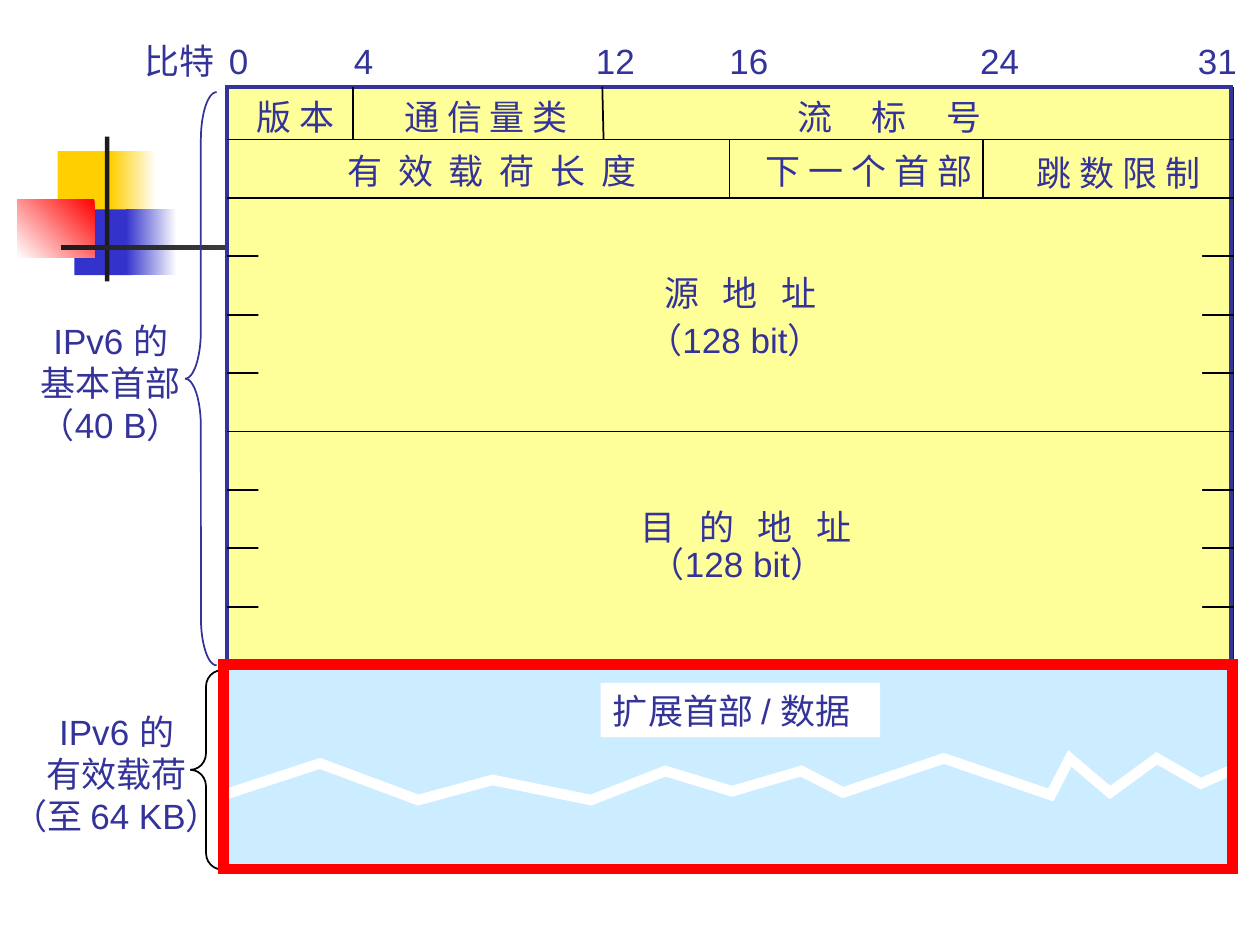
from dataclasses import dataclass
from lxml import etree
from pptx import Presentation
from pptx.dml.color import RGBColor
from pptx.enum.shapes import MSO_CONNECTOR, MSO_SHAPE
from pptx.enum.text import MSO_ANCHOR, MSO_AUTO_SIZE, PP_ALIGN
from pptx.oxml.ns import qn
from pptx.util import Pt

RECT, BRACE = MSO_SHAPE.RECTANGLE, MSO_SHAPE.LEFT_BRACE
LINE = MSO_CONNECTOR.STRAIGHT
LEFT, MID = PP_ALIGN.LEFT, PP_ALIGN.CENTER
TOP, GROW = MSO_ANCHOR.TOP, MSO_AUTO_SIZE.SHAPE_TO_FIT_TEXT


@dataclass(frozen=True)
class Theme:
    font: str = "Arial"
    size: float = 20
    ink: str = "333399"
    black: str = "000000"
    white: str = "FFFFFF"
    dark: str = "1C1C1C"
    gold: str = "FFCF01"
    blue: str = "3333CC"
    red: str = "FF0000"
    head: str = "FFFF99"
    load: str = "CCECFF"


T = Theme()
SPACE = 4.5  # width of one blank between Chinese characters
ROW, STEP, ROWS = 79.7, 33.37, 10
X0, X1 = 130, 705

BITS = {"0": 123.8, "4": 195.1, "12": 333.4, "16": 409.7, "24": 553, "31": 677.5}

# text, gap in blanks, left, top, width
FIELDS = [
    ("比特", 1, 75.2, 19, 60),
    ("版 本", 1, 139.7, 51.1, 66),
    ("通 信 量 类", 1, 223.9, 51.1, 116),
    ("流 标 号", 5, 448.6, 51.1, 136),
    ("有 效 载 荷 长 度", 2, 191.5, 82.1, 190),
    ("下 一 个 首 部", 1, 430.6, 82.1, 140),
    ("跳 数 限 制", 1, 585.4, 83.2, 116),
    ("源 地 址", 3, 372.5, 151.6, 114),
    ("（128 bit）", 1, 362.9, 178.6, 138),
    ("目 的 地 址", 3, 358.9, 285.1, 148),
    ("（128 bit）", 1, 364.3, 306.7, 138),
]

# x at the top, x at the foot, first row line, last row line
SPLITS = [(201.6, 201.6, 49.7, ROW), (344.2, 344.9, 49.7, ROW),
          (416.9, 416.9, ROW, ROW + STEP), (561.6, 561.6, ROW, ROW + STEP)]

WAVE = [(123.1, 455.8), (182.9, 436.3), (239, 457.2), (281.5, 445.7),
        (337.7, 457.2), (380.2, 440.6), (418.3, 452.2), (457.9, 440.6),
        (481.7, 452.9), (539.3, 433.4), (600.5, 454.3), (611.3, 433.4),
        (634.3, 452.9), (661, 433.4), (686.2, 447.8), (720, 432.7)]


def rgb(tone):
    return RGBColor.from_string(tone)


def paint(shape, fill=None, line=None, width=1):
    shape.shadow.inherit = False
    if fill:
        shape.fill.solid()
        shape.fill.fore_color.rgb = rgb(fill)
    else:
        shape.fill.background()
    if line:
        shape.line.color.rgb = rgb(line)
        shape.line.width = Pt(width)
        etree.SubElement(shape._element.spPr.find(qn("a:ln")),
                         qn("a:miter"), lim="800000")
    else:
        shape.line.fill.background()


def box(slide, area, fill=None, line=None, width=1):
    shape = slide.shapes.add_shape(RECT, *map(Pt, area))
    paint(shape, fill, line, width)
    return shape


def fade(slide, area, start, end, angle=180):
    shape = box(slide, area)
    shape.fill.gradient()
    shape.fill.gradient_angle = angle
    for stop, tone in zip(shape.fill.gradient_stops, (start, end)):
        stop.color.rgb = rgb(tone)


def cast(shape, tone):
    """Give the shape a hard shadow to the lower right."""
    effects = shape._element.spPr.find(qn("a:effectLst"))
    outer = etree.SubElement(effects, qn("a:outerShdw"),
                             dist=str(Pt(1.4)), dir="2700000")
    etree.SubElement(outer, qn("a:srgbClr"), val=tone)


def rule(slide, x1, y1, x2, y2):
    line = slide.shapes.add_connector(LINE, *map(Pt, (x1, y1, x2, y2)))
    line.line.color.rgb = rgb(T.black)
    line.line.width = Pt(1)
    etree.SubElement(line._element.spPr, qn("a:effectLst"))


def write(shape, lines, align=LEFT, gap=1, wrap=False):
    """Set the lines; gap is how many blanks wide each space should look."""
    frame = shape.text_frame
    style = {"word_wrap": wrap, "auto_size": GROW, "vertical_anchor": TOP}
    for name, value in style.items():
        setattr(frame, name, value)
    for i, text in enumerate(lines):
        para = frame.paragraphs[0] if i == 0 else frame.add_paragraph()
        para.alignment = align
        run = para.add_run()
        run.text = text
        for name, value in {"name": T.font, "size": Pt(T.size)}.items():
            setattr(run.font, name, value)
        run.font.color.rgb = rgb(T.ink)
        if gap > 1:
            run._r.get_or_add_rPr().set("spc", str(int(SPACE * (gap - 1) * 50)))


def label(slide, lines, area, **style):
    write(slide.shapes.add_textbox(*map(Pt, area)), lines, **style)


def brace(slide, area, curve, tone):
    shape = slide.shapes.add_shape(BRACE, *map(Pt, area))
    shape.adjustments[0] = curve
    paint(shape, line=tone)


def wave(slide):
    first, *rest = [(Pt(x), Pt(y)) for x, y in WAVE]
    path = slide.shapes.build_freeform(*first)
    path.add_line_segments(rest, close=False)
    paint(path.convert_to_shape(), line=T.white, width=6)


def decor(slide):
    box(slide, (33, 86.4, 34.5, 37.5), T.gold)
    fade(slide, (63.4, 86.4, 26, 37.5), T.white, T.gold)
    box(slide, (42.5, 119.7, 33, 37.5), T.blue)
    fade(slide, (72, 119.7, 29, 37.5), T.white, T.blue)
    fade(slide, (10, 113.8, 44, 33.5), T.red, T.white, 225)
    box(slide, (59.9, 78, 2.6, 82.8), T.dark)
    fade(slide, (34.6, 140, 648, 2.7), T.white, T.dark)


def header(slide):
    cast(box(slide, (129.6, 49.7, 573.8, 447.1), T.head, T.ink, 2.25), T.dark)
    for i in range(ROWS):
        y = ROW + i * STEP
        rule(slide, X0, y, X1, y)
    for y in (135.4, 268.6):  # leaves only short ticks at both sides
        box(slide, (147.6, y, 539.3, 89), T.head)
    for top, foot, y1, y2 in SPLITS:
        rule(slide, top, y1, foot, y2)
    for bit, x in BITS.items():
        label(slide, [bit], (x, 19, 42, 31), wrap=True)
    for text, gap, x, y, w in FIELDS:
        label(slide, [text], (x, y, w, 31), gap=gap, wrap=True)


def payload(slide):
    box(slide, (131, 381.6, 572.4, 115.2), T.load)
    write(box(slide, (343.2, 390.2, 159.8, 31), T.white), ["扩展首部 / 数据"])
    wave(slide)


def main():
    deck = Presentation()
    deck.slide_width, deck.slide_height = Pt(720), Pt(540)
    slide = deck.slides.add_slide(deck.slide_layouts[6])
    decor(slide)
    header(slide)
    payload(slide)
    brace(slide, (105.8, 52.6, 18, 327.6), 1.52, T.ink)
    label(slide, ["IPv6 的", "基本首部", "（40 B）"],
          (10.8, 179.3, 105.1, 79.2), align=MID)
    brace(slide, (108.7, 383, 18, 113.8), 0.52, T.black)
    label(slide, ["IPv6 的", "有效载荷", "（至 64 KB）"],
          (-5, 402.5, 143.3, 79.2), align=MID)
    box(slide, (127.6, 379.7, 576.7, 117), line=T.red, width=6)
    deck.save("out.pptx")


if __name__ == "__main__":
    main()
